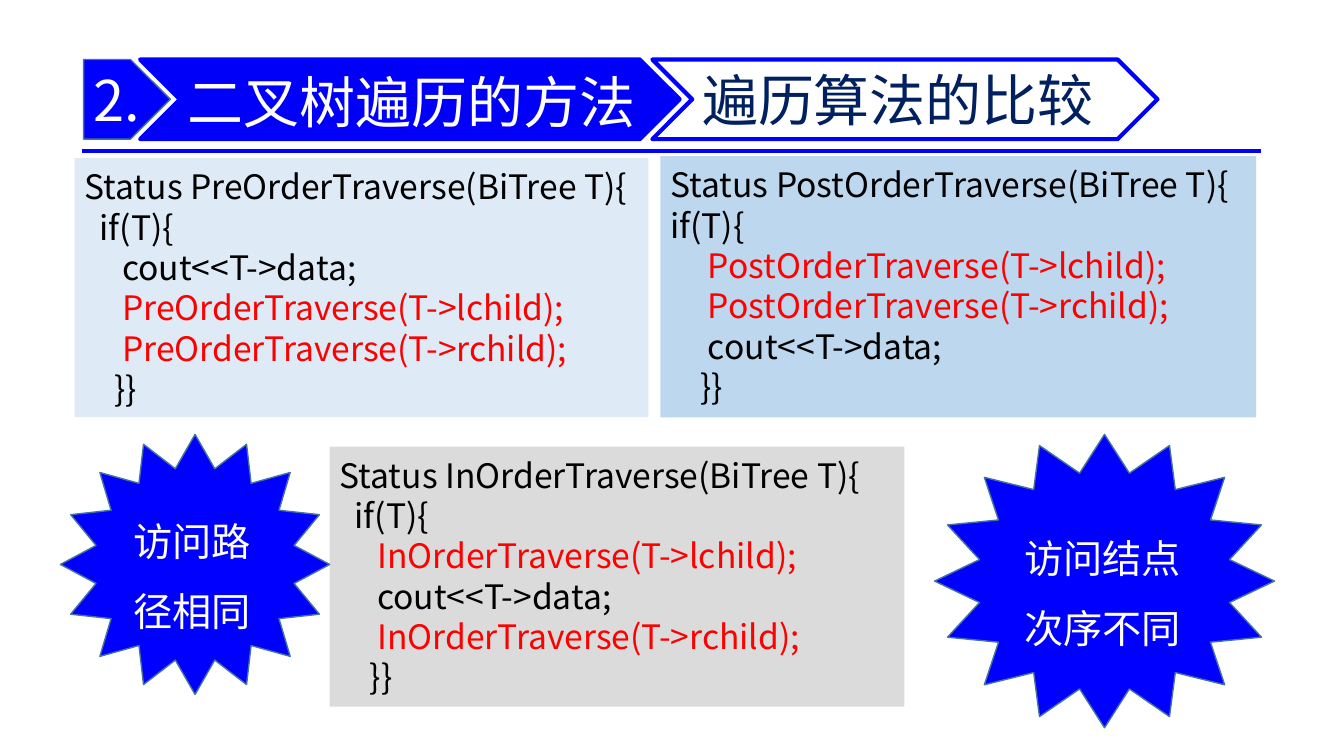
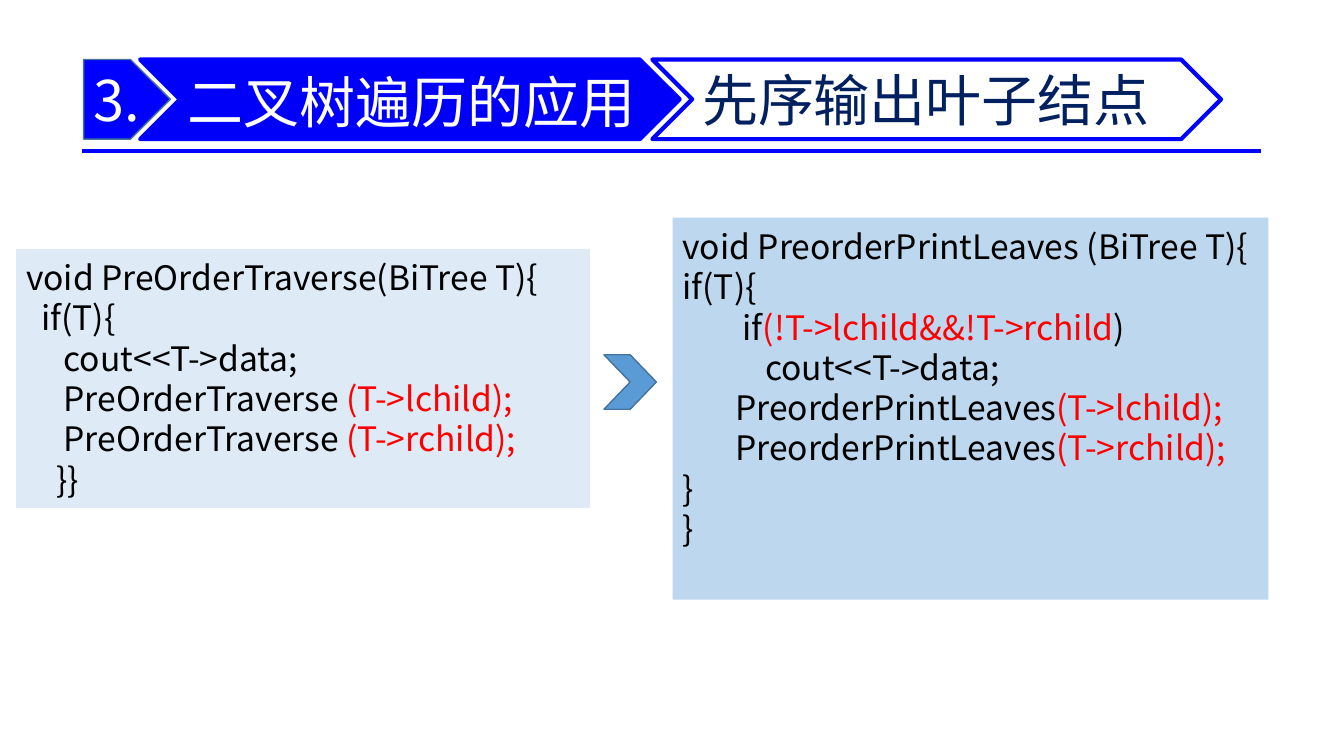
from lxml import etree
from pptx import Presentation
from pptx.dml.color import RGBColor
from pptx.enum.shapes import MSO_CONNECTOR, MSO_SHAPE
from pptx.enum.text import MSO_ANCHOR, MSO_AUTO_SIZE, PP_ALIGN
from pptx.oxml.ns import qn
from pptx.util import Inches, Pt

BLUE = RGBColor(0x00, 0x00, 0xFF)
DEEP = RGBColor(0x00, 0x00, 0xFA)
NAVY = RGBColor(0x00, 0x20, 0x60)
STEEL = RGBColor(0x43, 0x73, 0x9E)
SKY = RGBColor(0x5B, 0x9B, 0xD5)
PALE = RGBColor(0xDE, 0xEB, 0xF7)
LIGHT = RGBColor(0xBD, 0xD7, 0xEE)
GRAY = RGBColor(0xDB, 0xDB, 0xDB)
WHITE = RGBColor(0xFF, 0xFF, 0xFF)
BLACK = RGBColor(0x00, 0x00, 0x00)
RED = RGBColor(0xFF, 0x00, 0x00)

RECT, STAR = MSO_SHAPE.RECTANGLE, MSO_SHAPE.STAR_16_POINT
CHEVRON, PLATE = MSO_SHAPE.CHEVRON, MSO_SHAPE.PENTAGON
STRAIGHT = MSO_CONNECTOR.STRAIGHT
TOP, MIDDLE = MSO_ANCHOR.TOP, MSO_ANCHOR.MIDDLE
LEFT, JUSTIFY = PP_ALIGN.LEFT, PP_ALIGN.JUSTIFY
FIXED = MSO_AUTO_SIZE.NONE

FONT = "Noto Sans CJK SC"
HEAD_TOP, HEAD_HIGH = 0.59, 0.79

PRE = [
    "Status PreOrderTraverse(BiTree T){",
    "  if(T){",
    "     cout<<T->data;",
    "     |PreOrderTraverse(T->lchild);",
    "     |PreOrderTraverse(T->rchild);",
    "    }}",
]
MID = [
    "Status InOrderTraverse(BiTree T){",
    "  if(T){",
    "     |InOrderTraverse(T->lchild);",
    "     cout<<T->data;",
    "     |InOrderTraverse(T->rchild);",
    "    }}",
]
POST = [
    "Status PostOrderTraverse(BiTree T){",
    "if(T){",
    "     |PostOrderTraverse(T->lchild);",
    "     |PostOrderTraverse(T->rchild);",
    "     cout<<T->data;",
    "    }}",
]
WALK = [
    "void PreOrderTraverse(BiTree T){",
    "  if(T){",
    "     cout<<T->data;",
    "     PreOrderTraverse |(T->lchild);",
    "     PreOrderTraverse |(T->rchild);",
    "    }}",
]
LEAVES = [
    "void PreorderPrintLeaves (BiTree T){",
    "if(T){",
    "        if|(!T->lchild&&!T->rchild|)",
    "           cout<<T->data;",
    "       PreorderPrintLeaves|(T->lchild);",
    "       PreorderPrintLeaves|(T->rchild);",
    "}",
    "}",
]


class Deck:
    """Holds the shared style and the current slide."""

    def __init__(self):
        self.show = Presentation()
        self.show.slide_width = Inches(13.33)
        self.show.slide_height = Inches(7.5)

    def shape(self, kind, box, fill, line=None, width=1):
        item = self.slide.shapes.add_shape(kind, *map(Inches, box))
        item.shadow.inherit = False
        item.fill.solid()
        item.fill.fore_color.rgb = fill
        if line is None:
            item.line.fill.background()
        else:
            item.line.color.rgb = line
            item.line.width = Pt(width)
        return item

    def label(self, item, lines, size, color, anchor=MIDDLE, align=LEFT, space=None):
        """Fill a shape with lines, in which bars switch red on and off."""
        frame = item.text_frame
        frame.word_wrap = True
        frame.auto_size = FIXED
        frame.vertical_anchor = anchor
        for i, line in enumerate(lines):
            para = frame.add_paragraph() if i else frame.paragraphs[0]
            para.alignment = align
            if space:
                para.line_spacing = Pt(space)
            para.font.name = FONT
            para.font.size = Pt(size)
            para.font.color.rgb = color
            for j, part in enumerate(line.split("|")):
                run = para.add_run()
                run.text = part
                if j % 2:
                    run.font.color.rgb = RED
        for latin in list(item.element.iter(qn("a:latin"))):
            latin.addnext(etree.Element(qn("a:ea"), typeface=FONT))
        return frame

    def rule(self):
        line = self.slide.shapes.add_connector(
            STRAIGHT, Inches(0.81), Inches(1.5), Inches(12.51), Inches(1.5))
        line.line.color.rgb = BLUE
        line.line.width = Pt(3)
        etree.SubElement(line.element.spPr, qn("a:effectLst"))

    def title(self, text):
        item = self.slide.shapes.title
        item.left, item.top, item.width, item.height = map(
            Inches, (1.82, 0.46, 4.6, 1.08))
        frame = self.label(item, [text], 40, WHITE)
        frame.margin_left = Inches(0.04)
        frame.margin_right = 0
        frame.margin_top = frame.margin_bottom = Inches(0.02)
        item.element.getparent().append(item.element)

    def start(self, mark, title, topic, wide):
        """Add a slide with its numbered header band."""
        self.slide = self.show.slides.add_slide(self.show.slide_layouts[5])
        self.rule()
        tag = self.shape(CHEVRON, (6.47, HEAD_TOP, wide, HEAD_HIGH), WHITE, BLUE, 3)
        self.label(tag, [topic], 40, NAVY).margin_right = 0
        plate = self.shape(PLATE, (0.83, HEAD_TOP, 0.86, HEAD_HIGH), BLUE, STEEL)
        self.label(plate, [mark], 40, WHITE).margin_right = 0
        self.shape(CHEVRON, (1.39, HEAD_TOP, 5.35, HEAD_HIGH), DEEP, BLUE, 3)
        self.title(title)

    def code(self, box, fill, lines):
        item = self.shape(RECT, box, fill)
        frame = self.label(item, lines, 24, BLACK, TOP, JUSTIFY, 28.8)
        frame.margin_top = Inches(0.08)

    def star(self, box, lines):
        self.label(self.shape(STAR, box, BLUE, STEEL), lines, 28, WHITE, space=50)


def main():
    deck = Deck()

    deck.start("2.", "二叉树遍历的方法", "遍历算法的比较", 5.01)
    deck.code((0.74, 1.57, 5.69, 2.57), PALE, PRE)
    deck.code((3.27, 4.43, 5.7, 2.58), GRAY, MID)
    deck.code((6.55, 1.55, 5.91, 2.59), LIGHT, POST)
    deck.star((9.27, 4.31, 3.37, 2.91), ["访问结点", "次序不同"])
    deck.star((0.6, 4.31, 2.67, 2.58), ["访问路径相同"])

    deck.start("3.", "二叉树遍历的应用", "先序输出叶子结点", 5.64)
    deck.code((0.16, 2.47, 5.69, 2.57), PALE, WALK)
    deck.code((6.67, 2.16, 5.91, 3.79), LIGHT, LEAVES)
    deck.shape(CHEVRON, (5.99, 3.52, 0.52, 0.54), SKY, STEEL)

    deck.show.save("out.pptx")


if __name__ == "__main__":
    main()
